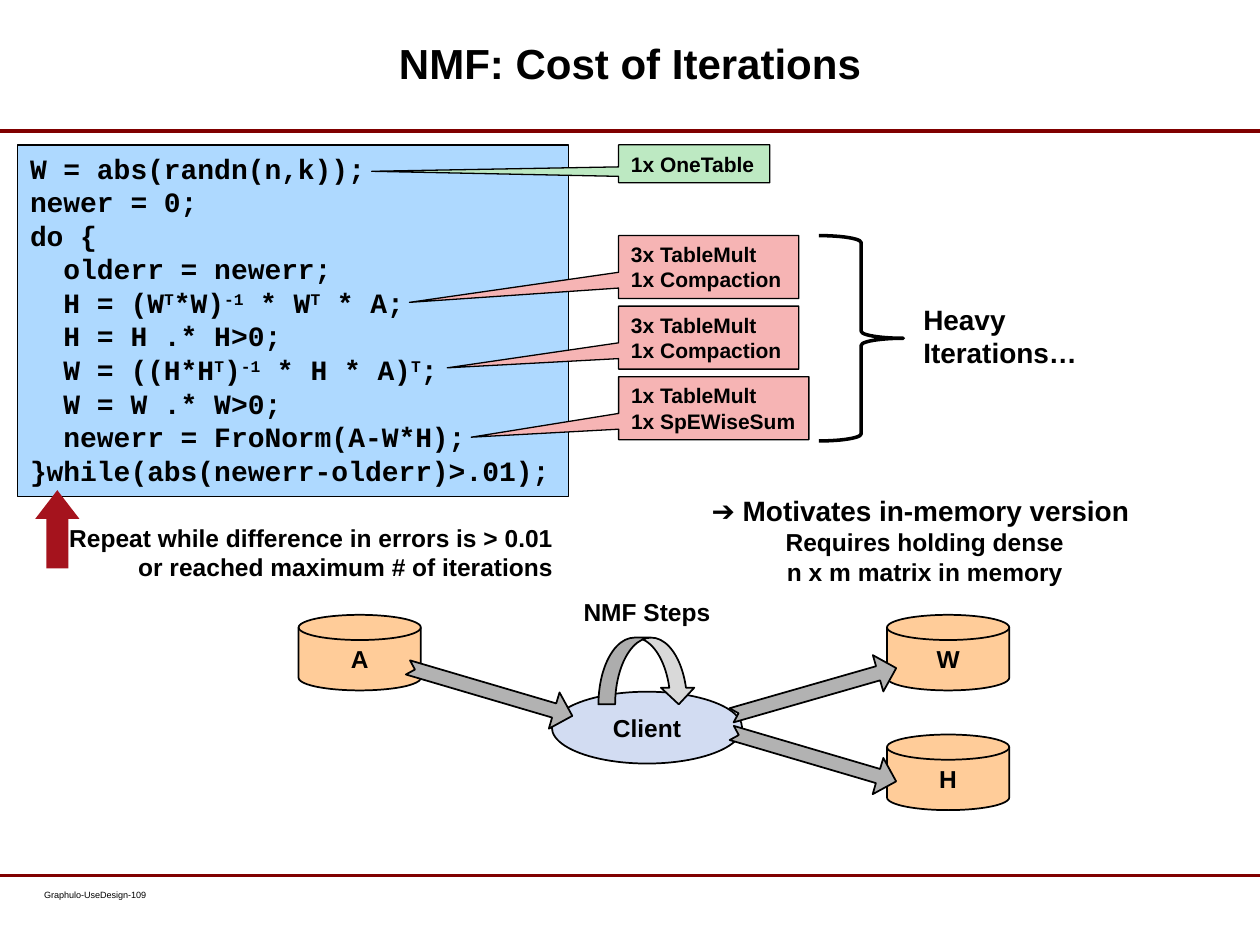
from lxml import etree
from pptx import Presentation
from pptx.dml.color import RGBColor
from pptx.enum.shapes import MSO_CONNECTOR, MSO_SHAPE
from pptx.enum.text import MSO_ANCHOR, PP_ALIGN
from pptx.oxml.ns import qn
from pptx.util import Emu, Pt

PX = 9144
LEFT, CENTER, RIGHT = PP_ALIGN.LEFT, PP_ALIGN.CENTER, PP_ALIGN.RIGHT
TOP, MIDDLE = MSO_ANCHOR.TOP, MSO_ANCHOR.MIDDLE
RECT, CALLOUT, BRACE = MSO_SHAPE.RECTANGLE, MSO_SHAPE.RECTANGULAR_CALLOUT, MSO_SHAPE.RIGHT_BRACE
CAN, OVAL, UP_ARROW = MSO_SHAPE.FLOWCHART_MAGNETIC_DISK, MSO_SHAPE.OVAL, MSO_SHAPE.UP_ARROW
NOTCHED_ARROW, LOOP_ARROW = MSO_SHAPE.NOTCHED_RIGHT_ARROW, MSO_SHAPE.CURVED_LEFT_ARROW
STRAIGHT = MSO_CONNECTOR.STRAIGHT
PINK, GREEN, ORANGE, GREY = "F6B4B4", "BDE9C2", "FFCC99", "B2B2B2"

CODE = """W = abs(randn(n,k));
newer = 0;
do {
  olderr = newerr;
  H = (W^T^*W)^-1^ * W^T^ * A;
  H = H .* H>0;
  W = ((H*H^T^)^-1^ * H * A)^T^;
  W = W .* W>0;
  newerr = FroNorm(A-W*H);
}while(abs(newerr-olderr)>.01);"""


def px(n):
    """Turn px into EMU."""
    return Emu(round(n * PX))


def rgb(value):
    """Turn a hex string into a colour."""
    return RGBColor.from_string(value)


def write(sp, text, size=14, font="Arial", bold=True, align=LEFT, anchor=TOP,
          spacing=1.0, wrap=True, inset=(10, 5)):
    """Fill a shape with lines of text; parts between carets are superscript."""
    tf = sp.text_frame
    tf.word_wrap = wrap
    tf.vertical_anchor = anchor
    tf.margin_left = tf.margin_right = px(inset[0])
    tf.margin_top = tf.margin_bottom = px(inset[1])
    for i, line in enumerate(text.split("\n")):
        p = tf.add_paragraph() if i else tf.paragraphs[0]
        p.alignment = align
        p.line_spacing = spacing
        for j, part in enumerate(line.split("^")):
            r = p.add_run()
            r.text = part
            r.font.name, r.font.size, r.font.bold = font, Pt(size), bold
            r.font.color.rgb = rgb("000000")
            if j % 2:
                r.font._element.set("baseline", "30000")
    return tf


def label(s, x, y, w, h, text, **fmt):
    """Add a text box."""
    return write(s.shapes.add_textbox(px(x), px(y), px(w), px(h)), text, **fmt)


def shape(s, kind, x, y, w, h, fill=None, line=1, rot=0, adj=()):
    """Add a preset shape with a flat fill and a black outline."""
    sp = s.shapes.add_shape(kind, px(x), px(y), px(w), px(h))
    sp.shadow.inherit = False
    sp.rotation = rot
    for i, value in enumerate(adj):
        sp.adjustments[i] = value
    if fill:
        sp.fill.solid()
        sp.fill.fore_color.rgb = rgb(fill)
    else:
        sp.fill.background()
    if line:
        sp.line.color.rgb = rgb("000000")
        sp.line.width = Pt(line)
    else:
        sp.line.fill.background()
    return sp


def rule(s, y):
    """Add a dark red line across the slide."""
    c = s.shapes.add_connector(STRAIGHT, 0, px(y), px(1000), px(y))
    c.line.color.rgb = rgb("800000")
    c.line.width = Pt(1.75)
    etree.SubElement(c._element.spPr, qn("a:effectLst"))


def frame(s, title, footer):
    """Place the title, the two rules and the footer."""
    rule(s, 104)
    rule(s, 695)
    label(s, 103, 11, 794, 89, title, size=24, align=CENTER, anchor=MIDDLE, spacing=Pt(21))
    label(s, 35, 706, 119, 24, footer, size=5.2, bold=False, inset=(0, 0))


def callout(s, x, y, w, h, text, tip, fill):
    """Add a callout whose point reaches the given tip."""
    adj = (tip[0] - x - w / 2) / w, (tip[1] - y - h / 2) / h
    write(shape(s, CALLOUT, x, y, w, h, fill, 0.75, adj=adj), text, size=12)


def algorithm(s, x, y):
    """Place the code panel and its loop note."""
    panel = shape(s, RECT, x, y, 437, 279, "AED9FF", 0.75)
    write(panel, CODE, size=16, font="Courier New")
    shape(s, UP_ARROW, x + 14, y + 274, 35, 62, "A5131D", 0, adj=(0.5, 0.65))
    label(s, x + 31, y + 295, 404, 57,
          "Repeat while difference in errors is > 0.01\nor reached maximum # of iterations",
          align=RIGHT, wrap=False)


def costs(s, x, y):
    """Place the cost callouts, the brace and the conclusion."""
    callout(s, x, y, 120, 30, "1x OneTable", (x - 196, y + 21), GREEN)
    heavy = [(143, "3x TableMult\n1x Compaction", (-166, 125)),
             (143, "3x TableMult\n1x Compaction", (-136, 177)),
             (151, "1x TableMult\n1x SpEWiseSum", (-117, 232))]
    for i, (w, text, (dx, dy)) in enumerate(heavy):
        callout(s, x, y + 72 + 56 * i, w, 50, text, (x + dx, y + dy), PINK)
    shape(s, BRACE, x + 159, y + 72, 67, 163, line=2)
    label(s, x + 232, y + 120, 144, 64, "Heavy\nIterations…", size=16, wrap=False)
    tf = label(s, x + 64, y + 272, 358, 84,
               "➔ Motivates in-memory version\nRequires holding dense\nn x m matrix in memory")
    tf.paragraphs[0].runs[0].font.size = Pt(16)
    for p in tf.paragraphs[1:]:
        p.alignment = CENTER


def data_flow(s, x, y):
    """Place the tables, the client and the arrows between them."""
    for name, dx, dy in (("A", 0, 19), ("W", 467, 19), ("H", 467, 114)):
        can = shape(s, CAN, x + dx, y + dy, 97, 60, ORANGE)
        write(can, name, align=CENTER, anchor=MIDDLE)
    client = shape(s, OVAL, x + 201, y + 80, 151, 57, "D2DCF2")
    write(client, "Client", align=CENTER, anchor=MIDDLE)
    for dx, dy, rot in ((84, 65, 16.4), (341, 65, 344), (341, 117, 16.4)):
        shape(s, NOTCHED_ARROW, x + dx, y + dy, 136, 30, GREY, rot=rot, adj=(0.39, 0.5))
    shape(s, LOOP_ARROW, x + 250, y + 25, 53, 77, "D9D9D9", rot=270)
    label(s, x + 216, y, 121, 34, "NMF Steps", align=CENTER, wrap=False)


def main():
    """Build and save the slide."""
    prs = Presentation()
    prs.slide_width, prs.slide_height = px(1000), px(750)
    s = prs.slides.add_slide(prs.slide_layouts[6])
    frame(s, "NMF: Cost of Iterations", "Graphulo-UseDesign-109")
    algorithm(s, 14, 115)
    costs(s, 491, 115)
    data_flow(s, 237, 469)
    prs.save("out.pptx")


if __name__ == "__main__":
    main()
